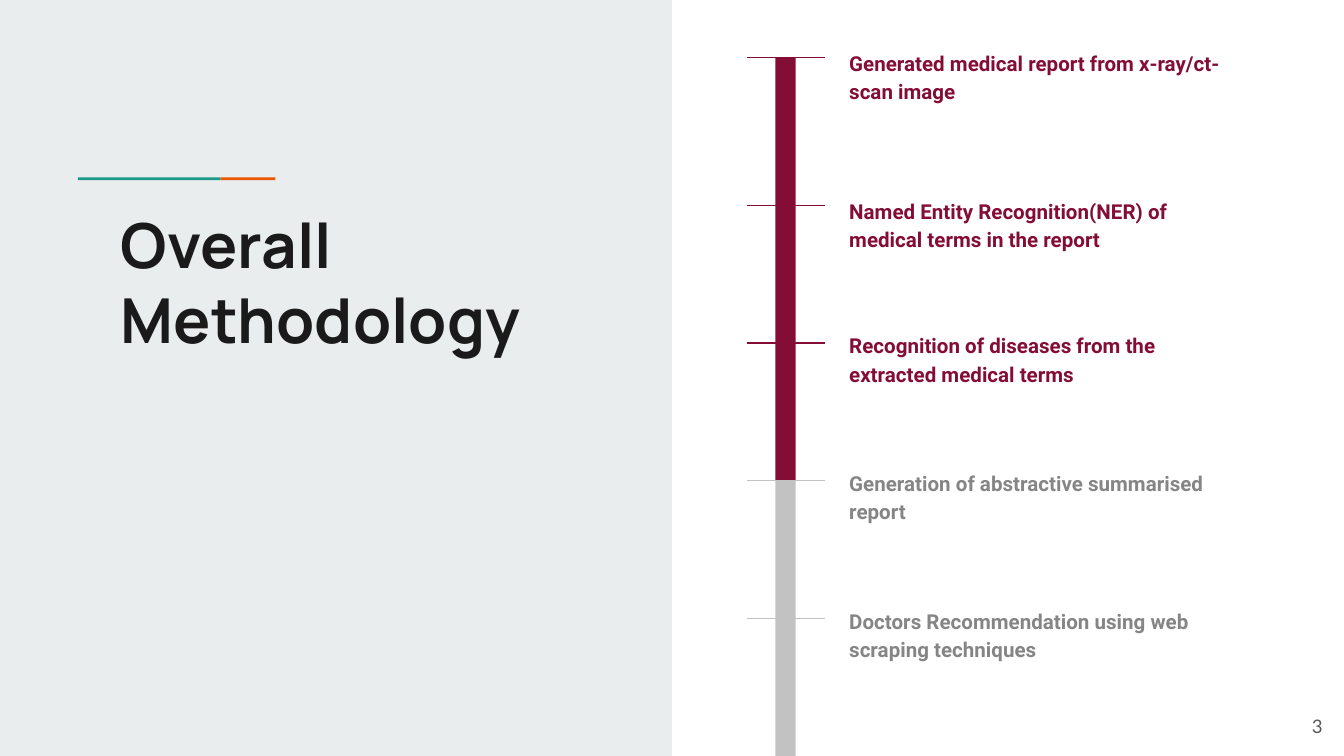
from pptx import Presentation
from pptx import util as u
from pptx.dml.color import RGBColor
from pptx.enum import shapes, text
from pptx.oxml.ns import qn
from lxml import etree

slide_width, slide_height = 10, 10 * 9 / 16
presentation = Presentation()
presentation.slide_width = u.Inches(slide_width)
presentation.slide_height = u.Inches(slide_height)
slide = presentation.slides.add_slide(presentation.slide_layouts[6])


def add_bar(left, top, width, height, color):
    shape = slide.shapes.add_shape(
        shapes.MSO_SHAPE.RECTANGLE, *map(u.Inches, (left, top, width, height)))
    shape.shadow.inherit = False
    shape.fill.solid()
    shape.fill.fore_color.rgb = RGBColor.from_string(color)
    shape.line.fill.background()


def add_label(words, left, top, width, height, font, size, color, bold=True, spacing=1.0):
    box = slide.shapes.add_textbox(*map(u.Inches, (left, top, width, height)))
    frame = box.text_frame
    frame.text = words
    frame.word_wrap = True
    frame.margin_left = frame.margin_right = u.Inches(0.1)
    frame.margin_top = frame.margin_bottom = u.Inches(0.1)
    paragraph = frame.paragraphs[0]
    paragraph.line_spacing = spacing
    run_font = paragraph.runs[0].font
    run_font.name, run_font.size, run_font.bold = font, u.Pt(size), bold
    run_font.color.rgb = RGBColor.from_string(color)
    return frame


add_bar(0, 0, slide_width / 2, slide_height, "E9EDEE")
add_bar(1.64, 1.32, 0.41, 0.02, "EB5600")
add_bar(0.58, 1.32, 1.06, 0.02, "1A9988")
add_label("Overall Methodology", 0.8, 1.44, 3.61, 1.85, "Manrope", 33.2, "1A1A1A")

number = add_label("3", 9.34, 5.19, 0.6, 0.43, "Lato", 10, "595959", bold=False)
number.vertical_anchor = text.MSO_ANCHOR.MIDDLE
number.paragraphs[0].alignment = text.PP_ALIGN.RIGHT

done, pending = ("840D35", "840D35"), ("C2C2C2", "858585")
steps = [
    ("Generated medical report from x-ray/ct-scan image", done, 0.18),
    ("Named Entity Recognition(NER) of medical terms in the report", done, 0.18),
    ("Recognition of diseases from the extracted medical terms", done, 0.2),
    ("Generation of abstractive summarised report", pending, 0.2),
    ("Doctors Recommendation using web scraping techniques", pending, 0.2),
]
first_top, second_top = 0.43, 1.53
row = (slide_height - second_top) / (len(steps) - 1)

for index, (words, (bar_color, text_color), rise) in enumerate(steps):
    top = second_top + (index - 1) * row if index else first_top
    height = row if index else second_top - first_top
    add_bar(5.77, top, 0.15, height, bar_color)
    tick = slide.shapes.add_connector(
        shapes.MSO_CONNECTOR.STRAIGHT, *map(u.Inches, (6.14, top, 5.56, top)))
    tick.line.color.rgb = RGBColor.from_string(bar_color)
    tick.line.width = u.Pt(0.75)
    etree.SubElement(tick._element.spPr, qn("a:effectLst"))
    add_label(words, 6.22, top - rise, 2.98, 0.61, "Roboto", 11, text_color, spacing=1.15)

presentation.save("out.pptx")
